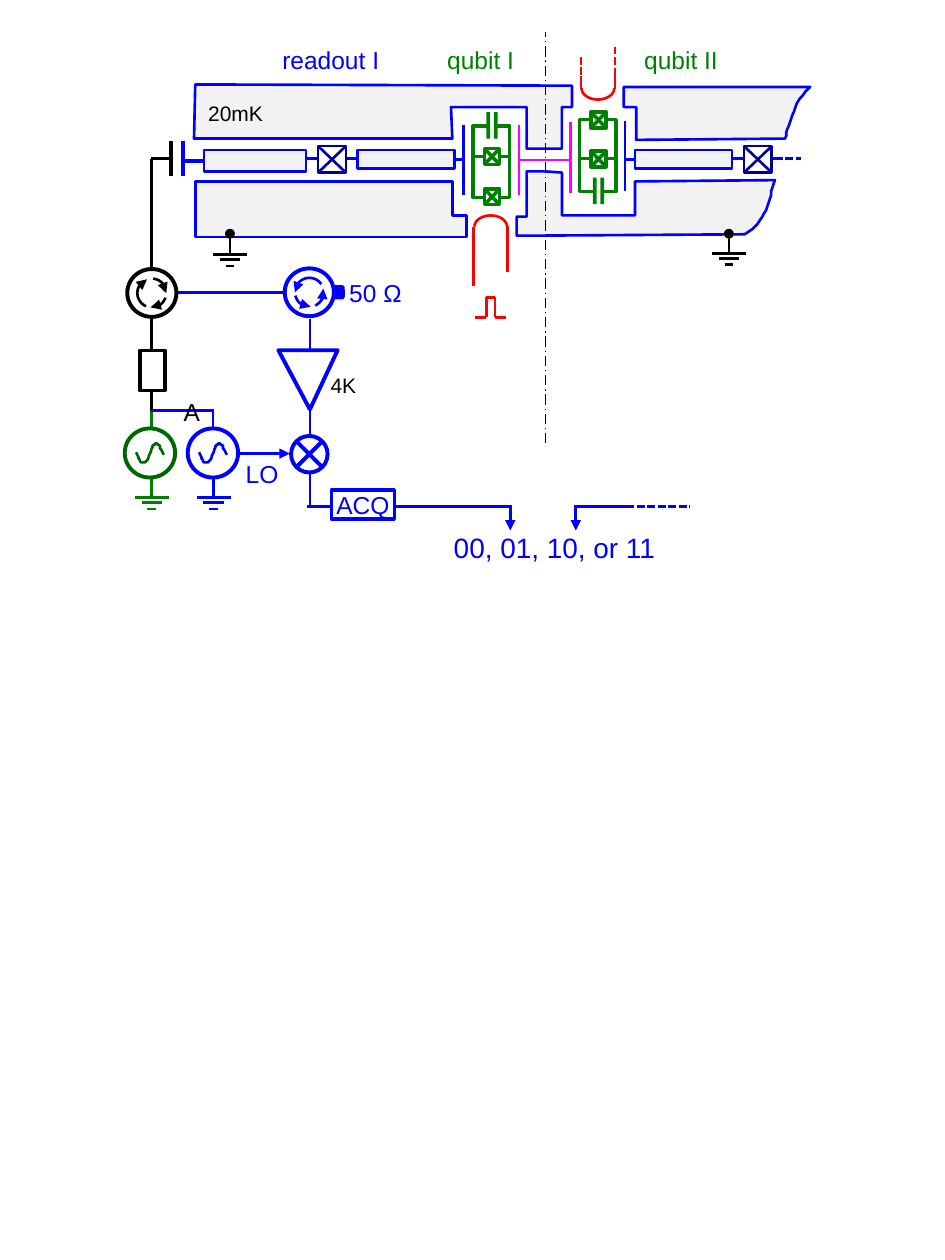
from typing import NamedTuple, Optional
from lxml import etree
from pptx import Presentation
from pptx.dml.color import RGBColor
from pptx.enum.dml import MSO_LINE
from pptx.enum.shapes import MSO_CONNECTOR, MSO_SHAPE
from pptx.enum.text import MSO_AUTO_SIZE, PP_ALIGN
from pptx.oxml.ns import qn
from pptx.util import Inches, Pt

RECT, OVAL, ARC = MSO_SHAPE.RECTANGLE, MSO_SHAPE.OVAL, MSO_SHAPE.ARC
ROUND, MIXER = MSO_SHAPE.ROUNDED_RECTANGLE, MSO_SHAPE.FLOWCHART_SUMMING_JUNCTION
STRAIGHT = MSO_CONNECTOR.STRAIGHT
DASH, CHAIN = MSO_LINE.SQUARE_DOT, MSO_LINE.LONG_DASH_DOT
CENTER, GROW = PP_ALIGN.CENTER, MSO_AUTO_SIZE.SHAPE_TO_FIT_TEXT
LEFT, RIGHT = 1, 3
COLORS = {
    "blue": "0000FF", "navy": "000099", "green": "008000", "forest": "006600",
    "red": "FF0000", "pink": "FF00FF", "black": "000000", "white": "FFFFFF",
    "gray": "F2F2F2",
}

deck = Presentation()
deck.slide_width, deck.slide_height = Inches(7.5), Inches(10)
COL, ROW = deck.slide_width / 750, deck.slide_height / 1000
shapes = deck.slides.add_slide(deck.slide_layouts[6]).shapes


class Wire(NamedTuple):
    x1: float
    y1: float
    x2: float
    y2: float
    color: str = "blue"
    width: float = 1.5
    dash: Optional[MSO_LINE] = None
    arrow: bool = False


class Box(NamedTuple):
    x: float
    y: float
    w: float
    h: float
    fill: Optional[str] = "white"
    color: Optional[str] = "blue"
    width: float = 1.5
    kind: MSO_SHAPE = RECT


class Label(NamedTuple):
    text: str
    x: float
    y: float
    w: float
    h: float = 34
    color: str = "blue"
    size: int = 14


def tint(name: str) -> RGBColor:
    return RGBColor.from_string(COLORS[name])


def add_arrow(line) -> None:
    etree.SubElement(line._get_or_add_ln(), qn("a:tailEnd"), type="triangle")


def style(shape, fill: Optional[str], color: Optional[str], width: float) -> None:
    shape.shadow.inherit = False
    if fill:
        shape.fill.solid()
        shape.fill.fore_color.rgb = tint(fill)
    else:
        shape.fill.background()
    if color:
        shape.line.color.rgb = tint(color)
        shape.line.width = Pt(width)
    else:
        shape.line.fill.background()


def draw_wire(wire: Wire):
    line = shapes.add_connector(STRAIGHT, int(wire.x1 * COL), int(wire.y1 * ROW),
                                int(wire.x2 * COL), int(wire.y2 * ROW))
    etree.SubElement(line._element.spPr, qn("a:effectLst"))
    line.line.color.rgb = tint(wire.color)
    line.line.width = Pt(wire.width)
    if wire.dash:
        line.line.dash_style = wire.dash
    if wire.arrow:
        add_arrow(line.line)
    return line


def draw_box(box: Box):
    shape = shapes.add_shape(box.kind, int(box.x * COL), int(box.y * ROW),
                             int(box.w * COL), int(box.h * ROW))
    style(shape, box.fill, box.color, box.width)
    return shape


def draw_arc(box: Box, start: float, end: float, turn: int = 0,
             flip: bool = False, arrow: bool = False) -> None:
    arc = draw_box(box)
    arc.adjustments[0], arc.adjustments[1] = start * 0.6, end * 0.6
    arc.rotation = turn
    if flip:
        arc._element.spPr.find(qn("a:xfrm")).set("flipV", "1")
    if arrow:
        add_arrow(arc.line)


def draw_label(label: Label) -> None:
    frame = shapes.add_textbox(int(label.x * COL), int(label.y * ROW),
                               int(label.w * COL), int(label.h * ROW)).text_frame
    frame.word_wrap, frame.auto_size = False, GROW
    para = frame.paragraphs[0]
    para.alignment = CENTER
    run = para.add_run()
    run.text = label.text
    for key, value in {"name": "Arial", "size": Pt(label.size)}.items():
        setattr(run.font, key, value)
    run.font.color.rgb = tint(label.color)


def curve(a: tuple, b: tuple, c: tuple, d: tuple, steps: int = 16) -> list:
    return [tuple(p * (1 - t) ** 3 + 3 * q * t * (1 - t) ** 2
                  + 3 * r * t * t * (1 - t) + s * t ** 3
                  for p, q, r, s in zip(a, b, c, d))
            for t in (step / steps for step in range(steps + 1))]


def draw_path(points: list, fill: str, color: str, width: float, close: bool = True) -> None:
    form = shapes.build_freeform(*points[0], scale=(COL, ROW))
    form.add_line_segments(points[1:], close=close)
    style(form.convert_to_shape(), fill, color, width)


def ground(x: float, y: float, top: float, color: str) -> None:
    for half, drop in ((13.5, 0), (8, 4), (3.5, 9)):
        draw_wire(Wire(x - half, y + drop, x + half, y + drop, color))
    draw_wire(Wire(x, top, x, y, color))


def cross_box(x: float, y: float, w: float, h: float, color: str, width: float) -> None:
    draw_box(Box(x, y, w, h, "white", color, width))
    draw_wire(Wire(x, y, x + w, y + h, color, width))
    draw_wire(Wire(x + w, y, x, y + h, color, width))


def qubit(x: float, y: float, mid: float, tops: tuple, cap: float) -> None:
    draw_box(Box(x, y, 29, 57, None, "green", 2))
    draw_wire(Wire(x, mid, x + 29, mid, "green"))
    for top in tops:
        cross_box(x + 9, top, 12, 12.5, "green", 2)
    draw_box(Box(x + 11.5, cap, 7, 21, "white", None))
    for shift in (10.5, 16.5):
        draw_box(Box(x + shift, cap, 3, 21, "green", None))


def join_pad(pad: Box, side: int, x: float, width: float = 1.5,
             dash: Optional[MSO_LINE] = None) -> None:
    shape = draw_box(pad)
    mid = pad.y + pad.h / 2
    edge = pad.x + (pad.w if side == RIGHT else 0)
    draw_wire(Wire(x, mid, edge, mid, "blue", width, dash)).end_connect(shape, side)


def source(x: float, color: str) -> None:
    draw_box(Box(x - 20, 340, 40, 39, "white", color, 2.25, OVAL))
    wave = (curve((x + 10.5, 361), (x + 7, 349), (x + 3, 350), (x, 360))
            + curve((x, 360), (x - 3, 370), (x - 8, 370), (x - 10.5, 359))[1:])
    draw_path(wave, "white", color, 1.5, False)


def rotor(x: float, y: float, color: str, spans: tuple, flip: bool) -> None:
    draw_box(Box(x - 19.5, y - 19, 39, 38, "white", color, 2.25, OVAL))
    for start, end in spans:
        draw_arc(Box(x - 11.5, y - 11.5, 23, 23, None, color, 1.5, ARC),
                 start, end, 270, flip, True)


for wire in (
    Wire(244, 402, 406, 402), Wire(405, 401, 405, 421, arrow=True),
    Wire(120, 373, 120, 126, "black"), Wire(120, 126, 135, 126, "black"),
    Wire(219, 126, 287, 126), Wire(619, 126, 578, 126),
    Wire(368, 99, 368, 155), Wire(496, 96, 496, 152),
    Wire(145, 112, 145, 140, "blue", 2.25), Wire(136, 112, 136, 140, "black", 2.25),
):
    draw_wire(wire)

ground(120.5, 395, 361, "green")
ground(169.5, 395, 360, "blue")
join_pad(Box(162, 119, 81, 17, "gray"), LEFT, 146, 2.25)
join_pad(Box(284, 119, 77, 15, "gray"), RIGHT, 368)
join_pad(Box(504, 119, 77, 15, "gray"), LEFT, 496)
for x in (252.5, 590.5):
    cross_box(x, 116, 22, 21, "navy", 1.5)
qubit(375.5, 100, 124, (150, 118), 89)
qubit(460, 95, 126, (89, 120), 141)

BLOCKS = (
    [(359, 144), (155, 144), (155, 188), (370, 188), (370, 171), (359, 171)],
    [(410, 172), (418, 172), (418, 136), (432, 136), (446, 137), (446, 171),
     (504, 171), (504, 144), *curve((615, 143), (610, 158), (608, 177), (591, 186)),
     (431, 187), (410, 187)],
    [(505, 111), *curve((623, 110), (627, 97), (630, 80), (643, 69)),
     (495, 69), (495, 85), (505, 85)],
    [(446, 118), (418, 118), (418, 85), (358, 85), (359, 110), (154, 110),
     (155, 67), (454, 68), (454, 85), (446, 85)],
)
for block in BLOCKS:
    draw_path(block, "gray", "blue", 1.5)

PULSE = ((377, 252), (386, 252), (386, 236), (393, 236), (393, 252), (402, 252))
for start, end in zip(PULSE, PULSE[1:]):
    draw_wire(Wire(*start, *end, "red"))

for wire in (
    Wire(453, 97, 453, 153, "pink"), Wire(412, 99, 412, 155, "pink"),
    Wire(453, 127, 412, 127, "pink"),
    Wire(403, 216, 403, 179, "red"), Wire(376, 227, 376, 180, "red"),
    Wire(461, 60, 461, 71, "red"), Wire(488, 55, 488, 71, "red"),
    Wire(488, 37, 488, 56, "red", dash=DASH), Wire(461, 45, 461, 61, "red", dash=DASH),
    Wire(615, 126, 636, 126, dash=DASH),
    Wire(169, 341, 169, 326), Wire(120, 352, 120, 326, "green"),
    Wire(246, 401, 246, 253), Wire(235, 232, 130, 232),
    Wire(190, 360, 230, 360, arrow=True), Wire(170, 326, 120, 326),
    Wire(433, 352, 433, 25, "black", 0.75, CHAIN),
    Wire(497, 402, 456, 402), Wire(457, 401, 457, 421, arrow=True),
    Wire(497, 402, 548, 402, dash=DASH),
):
    draw_wire(wire)

for x, y, turn in ((376.5, 171, 0), (461.5, 61, 180)):
    draw_arc(Box(x, y, 26, 18, None, "red", 1.5, ARC), 180.3, 0, turn)
for x, y in ((182.5, 202), (578.5, 201)):
    ground(x, y, y - 14, "black")
    draw_box(Box(x - 2.5, 183, 5, 5, "black", "black", 2, OVAL))

source(169, "blue")
source(119, "forest")
draw_box(Box(231, 346, 29, 29, "white", "blue", 2.25, MIXER))
draw_path([(268, 278), (221, 278), (246, 325)], "white", "blue", 2.25)
draw_box(Box(263, 227, 10, 10, "blue", "blue", 1, ROUND))
rotor(245.5, 232, "blue", ((304.3, 90.6), (103.5, 185), (203.5, 284.7)), True)
rotor(120.5, 232.5, "black", ((5.6, 90.6), (109.3, 185), (203.5, 341)), False)
draw_box(Box(111, 278, 20, 32, "white", "black", 2))
draw_box(Box(263, 389, 50, 23, "white", "blue", 2))

for label in (
    Label("readout I", 214, 31, 97), Label("qubit I", 345, 31, 73, color="green"),
    Label("qubit II", 501, 31, 79, color="green"), Label("LO", 185, 359, 46),
    Label("50 Ω", 267, 216, 62), Label("A", 136, 310, 29, color="black"),
    Label("ACQ", 254, 384, 68), Label("20mK", 153, 75, 68, 30, "black", 12),
    Label("4K", 243, 291, 59, 30, "black", 12),
    Label("00, 01, 10, or 11", 319, 416, 242, 37, size=16),
):
    draw_label(label)

deck.save("out.pptx")
